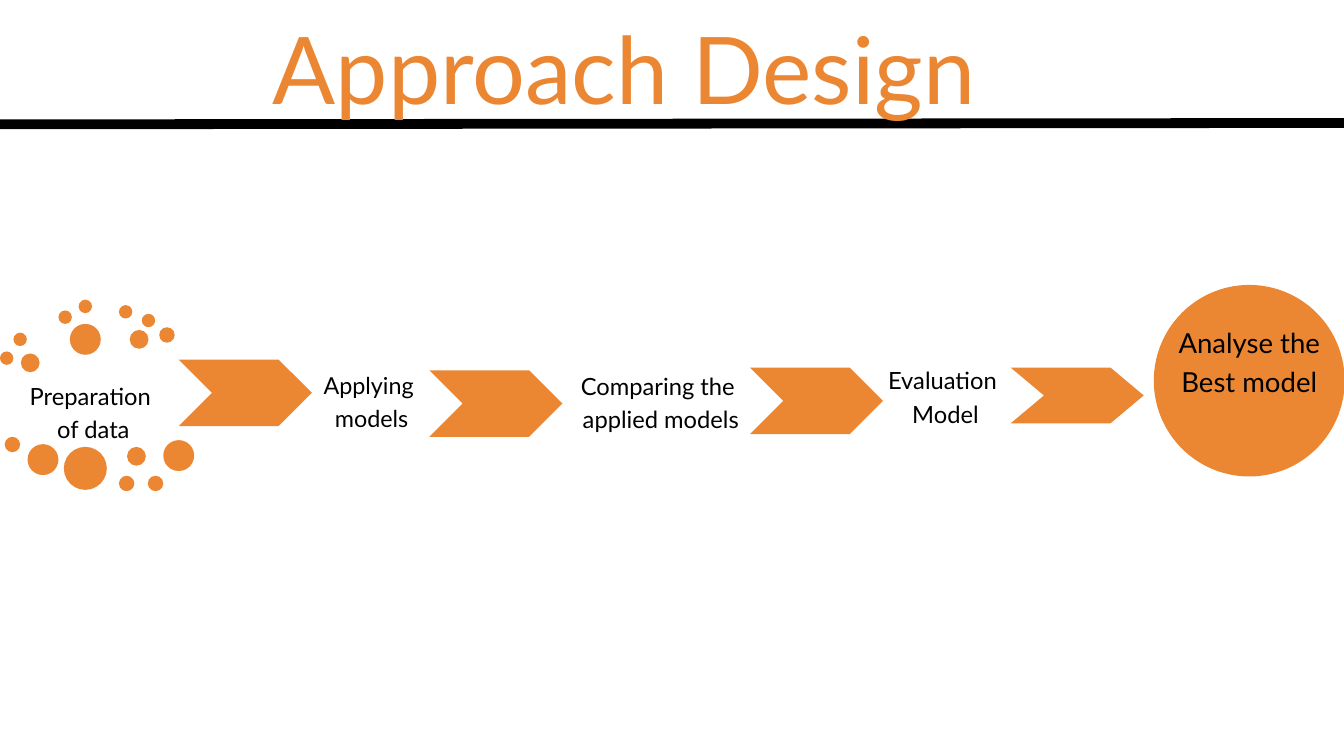
"""Build the "Approach Design" slide: a process flow from data to best model."""
from lxml import etree
from pptx import Presentation
from pptx.dml.color import RGBColor
from pptx.enum.shapes import MSO_CONNECTOR, MSO_SHAPE
from pptx.enum.text import PP_ALIGN
from pptx.oxml.ns import qn
from pptx.util import Inches, Pt

ORANGE = RGBColor(0xEB, 0x86, 0x33)
BLACK = RGBColor(0, 0, 0)
FONT = "Lato"
CENTER = PP_ALIGN.CENTER
OVAL = MSO_SHAPE.OVAL
CHEVRON = MSO_SHAPE.CHEVRON
STRAIGHT = MSO_CONNECTOR.STRAIGHT

CHEVRON_WIDTH = 1.98
CHEVRON_NOTCH = 0.495
CHEVRONS = [(2.66, 5.35, 0.99), (6.39, 5.51, 0.99), (11.16, 5.47, 0.99), (15.04, 5.47, 0.83)]

STEPS = [
    (["Preparation ", "of data"], 0.32, 5.61, 2.14, 0.96, 25.4, 35.5),
    (["Applying", " models"], 4.73, 5.46, 1.51, 0.95, 25, 35),
    (["Comparing the ", "applied models"], 8.51, 5.46, 2.65, 0.96, 25.4, 35.5),
    (["Evaluation ", "Model"], 13.11, 5.38, 1.92, 0.96, 25.4, 35.5),
]

DOTS_BY_DIAMETER = {
    0.2: [(0.2, 4.95), (0, 5.23), (0.87, 4.62), (1.17, 4.46), (1.77, 4.54), (2.11, 4.67)],
    0.23: [(2.37, 4.87), (0.07, 6.5), (1.77, 7.08), (2.2, 7.08)],
    0.28: [(1.89, 6.65), (0.31, 5.26), (1.93, 4.91)],
    0.46: [(1.04, 4.82), (0.41, 6.61), (2.43, 6.55)],
    0.64: [(0.95, 6.65)],
}


def add_orange_shape(slide, preset, left, top, width, height):
    """Add a plain orange preset shape."""
    shape = slide.shapes.add_shape(
        preset, Inches(left), Inches(top), Inches(width), Inches(height))
    shape.shadow.inherit = False
    shape.fill.solid()
    shape.fill.fore_color.rgb = ORANGE
    shape.line.fill.background()
    return shape


def add_chevron(slide, left, top, height):
    """Add a flow chevron whose notch keeps the same depth at any height."""
    chevron = add_orange_shape(slide, CHEVRON, left, top, CHEVRON_WIDTH, height)
    chevron.adjustments[0] = CHEVRON_NOTCH / height


def add_label(slide, lines, left, top, width, height, size, spacing, color=BLACK):
    """Add centred text, one paragraph per line."""
    label = slide.shapes.add_textbox(
        Inches(left), Inches(top), Inches(width), Inches(height))
    frame = label.text_frame
    frame.word_wrap = True
    frame.margin_left = frame.margin_top = frame.margin_right = frame.margin_bottom = 0
    frame.text = "\n".join(lines)
    for paragraph in frame.paragraphs:
        paragraph.alignment = CENTER
        paragraph.line_spacing = Pt(spacing)
        paragraph.font.name = FONT
        paragraph.font.size = Pt(size)
        paragraph.font.color.rgb = color


def add_title_rule(slide):
    """Add the thick black rule under the title."""
    rule = slide.shapes.add_connector(
        STRAIGHT, Inches(0), Inches(1.85), Inches(20), Inches(1.83))
    rule.line.color.rgb = BLACK
    rule.line.width = Pt(10.5)
    etree.SubElement(rule._element.spPr, qn("a:effectLst"))


def main():
    """Build and save the slide."""
    presentation = Presentation()
    presentation.slide_width = Inches(20)
    presentation.slide_height = Inches(11.25)
    slide = presentation.slides.add_slide(presentation.slide_layouts[6])

    add_title_rule(slide)
    add_label(slide, ["Approach Design"], 0, -0.11, 18.57, 1.87, 100, 140, ORANGE)
    for chevron in CHEVRONS:
        add_chevron(slide, *chevron)
    for step in STEPS:
        add_label(slide, *step)
    for diameter, corners in DOTS_BY_DIAMETER.items():
        for left, top in corners:
            add_orange_shape(slide, OVAL, left, top, diameter, diameter)
    add_orange_shape(slide, OVAL, 17.17, 4.24, 2.84, 2.85)
    add_label(slide, ["Analyse the Best model"], 17.43, 4.77, 2.32, 1.15, 29.5, 41.4)

    presentation.save("out.pptx")


if __name__ == "__main__":
    main()
